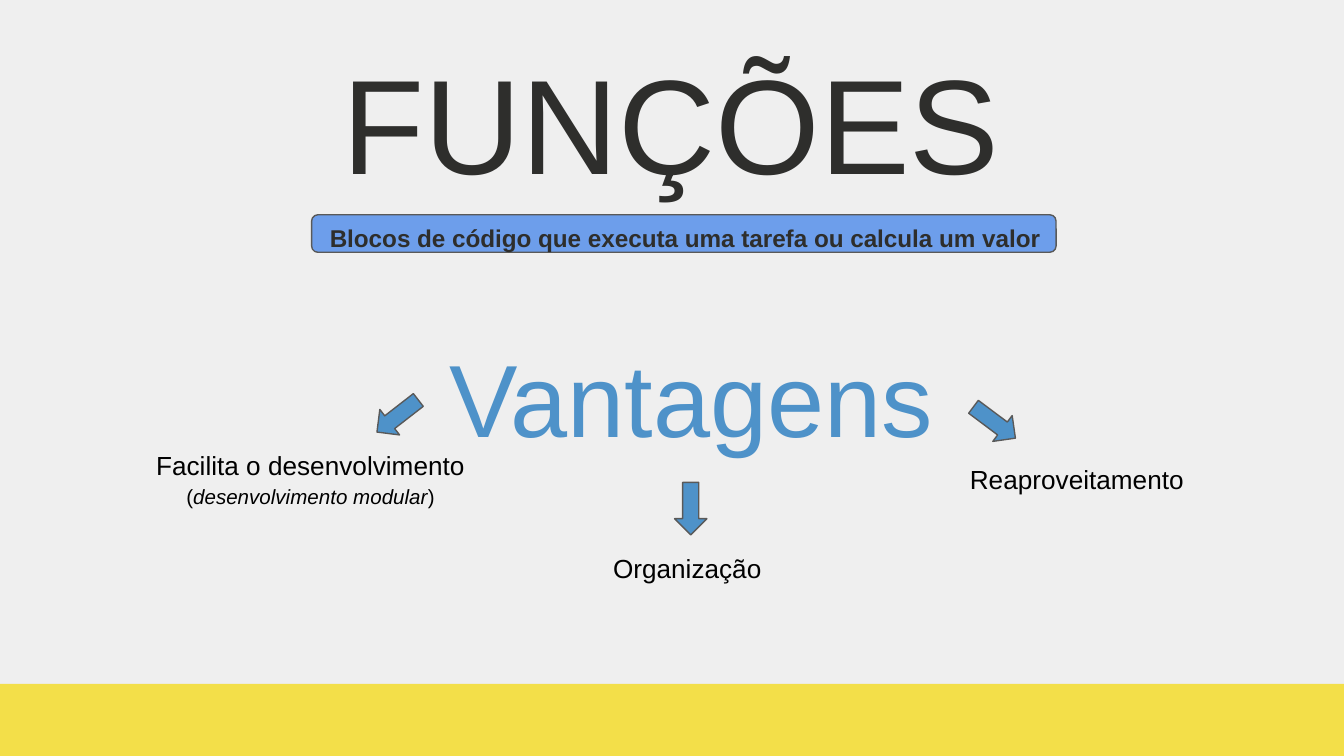
import pptx
import pptx.dml.color
import pptx.enum.shapes
import pptx.enum.text
import pptx.util

Cm = pptx.util.Cm
Pt = pptx.util.Pt
SHAPE = pptx.enum.shapes.MSO_SHAPE
ALIGN = pptx.enum.text.PP_ALIGN
ANCHOR = pptx.enum.text.MSO_ANCHOR

COLORS = {
    "background": "EFEFEF",
    "band": "F3DF49",
    "banner": "6D9EEB",
    "accent": "4E92C9",
    "outline": "595959",
    "heading": "2E2E2C",
    "label": "000000",
}
INSET = Cm(0.25)
ARROW_SIZE = (0.61, 0.99)
LABEL_SPACING = {"line_spacing": 1.15, "space_after": Pt(12)}


def rgb(name):
    return pptx.dml.color.RGBColor.from_string(COLORS[name])


def apply_format(target, values):
    for attribute, value in values.items():
        setattr(target, attribute, value)


def place(item, left, top, width, height):
    apply_format(item, {"left": Cm(left), "top": Cm(top),
                        "width": Cm(width), "height": Cm(height)})


def add_block(slide, kind, box, color, outlined=True, rotation=0):
    block = slide.shapes.add_shape(kind, *map(Cm, box))
    block.shadow.inherit = False
    block.rotation = rotation
    block.fill.solid()
    block.fill.fore_color.rgb = rgb(color)
    if outlined:
        block.line.color.rgb = rgb("outline")
        block.line.width = Pt(0.75)
    else:
        block.line.fill.background()
    return block


def write_text(holder, runs, color, anchor=ANCHOR.TOP, frame_format=None,
               paragraph_format=None):
    frame = holder.text_frame
    apply_format(frame, {
        "word_wrap": True,
        "auto_size": pptx.enum.text.MSO_AUTO_SIZE.NONE,
        "vertical_anchor": anchor,
        "margin_left": INSET, "margin_right": INSET,
        "margin_top": INSET, "margin_bottom": INSET,
        **(frame_format or {}),
    })
    paragraph = frame.paragraphs[0]
    apply_format(paragraph, {"alignment": ALIGN.CENTER, "line_spacing": 1.0,
                             "space_before": Pt(0), **(paragraph_format or {})})
    for wording, size, style in runs:
        run = paragraph.add_run()
        run.text = wording
        apply_format(run.font, {"name": "Arial", "size": Pt(size),
                                "bold": False, "italic": False, **style})
        run.font.color.rgb = rgb(color)


def add_text(slide, box, runs, color, **formats):
    write_text(slide.shapes.add_textbox(*map(Cm, box)), runs, color, **formats)


def add_heading(slide):
    title = slide.shapes.title
    place(title, 3.07, 0.3, 19.23, 3.96)
    write_text(title, [("FUNÇÕES", 72, {})], "heading", anchor=ANCHOR.MIDDLE)


def add_definition(slide):
    definition = slide.placeholders[1]
    add_block(slide, SHAPE.ROUNDED_RECTANGLE, (5.89, 4.06, 14.07, 0.71), "banner")
    definition.element.getparent().append(definition.element)
    place(definition, 5.69, 3.89, 14.5, 0.91)
    write_text(
        definition,
        [("Blocos de código que executa uma tarefa ou calcula um valor", 13,
          {"bold": True})],
        "heading", paragraph_format={"line_spacing": 1.15})


def add_advantages(slide):
    add_text(slide, (6.83, 5.87, 12.47, 3.96), [("Vantagens", 55, {})], "accent",
             frame_format={"margin_top": Cm(0.46)})
    development = [
        ("Facilita o desenvolvimento ", 14, {}),
        ("(", 11, {}),
        ("desenvolvimento modular", 11, {"italic": True}),
        (")", 11, {}),
    ]
    advantages = [
        ((1.07, 8.15, 8.33, 1.47), development, {"margin_left": Cm(1.52)},
         ALIGN.CENTER, (7.21, 7.37), 52.2),
        ((11.2, 10.11, 3.58, 0.91), [("Organização", 14, {})], {},
         ALIGN.CENTER, (12.75, 9.12), 0),
        ((18.08, 8.43, 4.55, 0.91), [("Reaproveitamento", 14, {})],
         {"margin_right": 0}, ALIGN.LEFT, (18.49, 7.49), 306.8),
    ]
    for box, runs, margins, alignment, arrow_corner, rotation in advantages:
        add_text(slide, box, runs, "label", frame_format=margins,
                 paragraph_format={**LABEL_SPACING, "alignment": alignment})
        add_block(slide, SHAPE.DOWN_ARROW, arrow_corner + ARROW_SIZE, "accent",
                  rotation=rotation)


def main():
    presentation = pptx.Presentation()
    apply_format(presentation, {"slide_width": Cm(25.4),
                                "slide_height": Cm(14.29)})
    slide = presentation.slides.add_slide(presentation.slide_layouts[0])
    slide.background.fill.solid()
    slide.background.fill.fore_color.rgb = rgb("background")
    add_block(slide, SHAPE.RECTANGLE, (0, 12.93, 25.4, 1.36), "band",
              outlined=False)
    add_heading(slide)
    add_definition(slide)
    add_advantages(slide)
    presentation.save("out.pptx")


if __name__ == "__main__":
    main()
